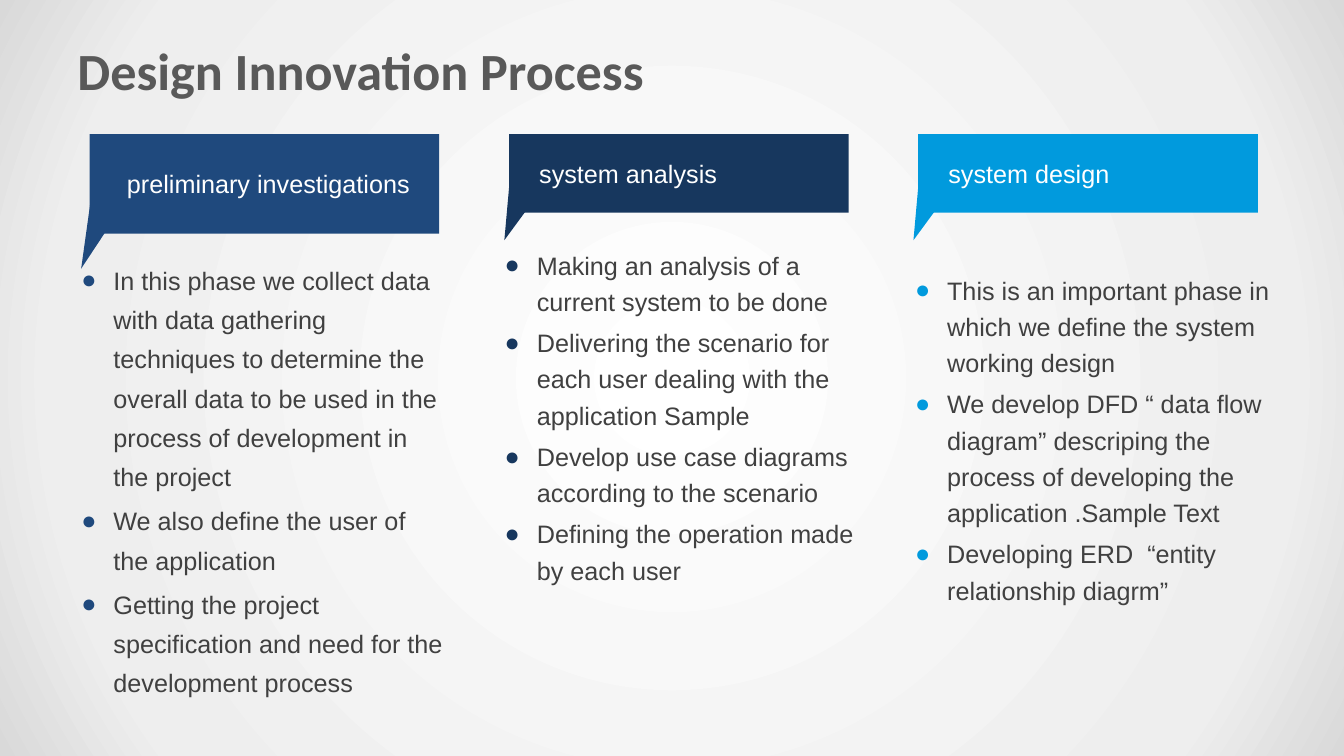
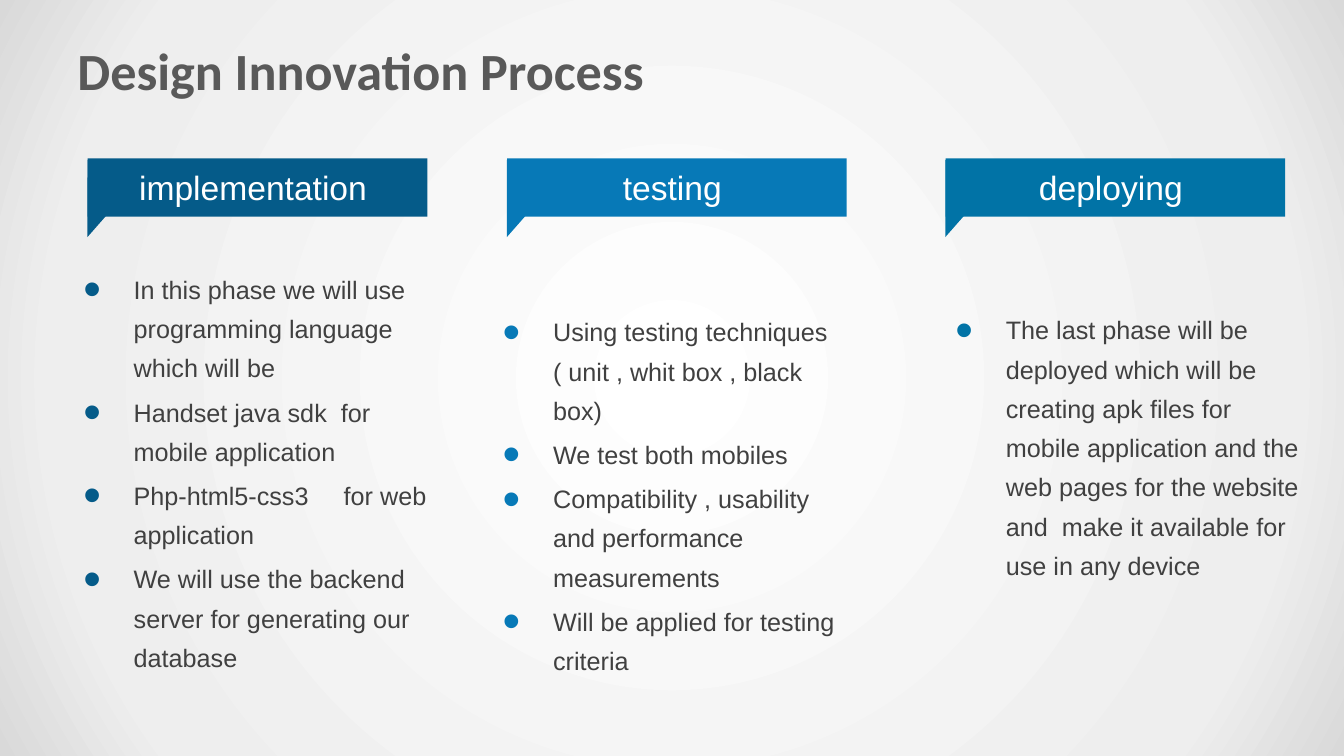
from dataclasses import dataclass

import lxml.etree
import pptx
import pptx.dml.color
import pptx.enum.shapes
import pptx.enum.text
import pptx.oxml.ns
import pptx.util

Cm = pptx.util.Cm
Pt = pptx.util.Pt
ALIGN = pptx.enum.text.PP_ALIGN
ANCHOR = pptx.enum.text.MSO_ANCHOR
SHAPE = pptx.enum.shapes.MSO_SHAPE


# Shared look
@dataclass(frozen=True)
class Theme:
    title_font: str = "Calibri"
    body_font: str = "Arial"
    title_color: str = "595959"
    body_color: str = "404040"
    banner_text_color: str = "FFFFFF"
    title_size: float = 37.3
    body_size: float = 18
    large_banner_size: float = 24
    background: tuple = ((0, "FFFFFF"), (81, "EEEEEE"), (100, "D9D9D9"))


@dataclass(frozen=True)
class Bullet:
    character: str
    percent: int
    indent: float


@dataclass(frozen=True)
class Column:
    heading: str
    color: str
    banner: tuple  # left, top, width, height in cm
    body: tuple
    items: tuple
    line_spacing: float = 1.3


THEME = Theme()
SMALL_BULLET = Bullet("●", 100, 0.81)
LARGE_BULLET = Bullet("•", 200, 1.27)
GAP_MARK = "|"  # stands for one widened space in a text
GAP_POINTS = 20


# Content
TITLE = "Design Innovation Process"
ANALYSIS_COLUMNS = (
    Column("preliminary investigations", "1F497D",
           (2.26, 3.38, 8.81, 2.51), (1.8, 6.32, 9.73, 11.53),
           ("In this phase we collect data with data gathering techniques to "
            "determine the overall data to be used in the process of "
            "development in the project",
            "We also define the user of the application",
            "Getting the project specification and need for the development "
            "process")),
    Column("system analysis", "17375E",
           (12.83, 3.38, 8.56, 1.98), (12.47, 6.02, 9.45, 9.12),
           ("Making an analysis of a current system to be done",
            "Delivering the scenario for each user dealing with the "
            "application Sample",
            "Develop use case diagrams according to the scenario",
            "Defining the operation made by each user"), 1.2),
    Column("system design", "019ADD",
           (23.14, 3.38, 8.56, 1.98), (22.81, 6.65, 9.45, 9.12),
           ("This is an important phase in which we define the system "
            "working design",
            "We develop DFD “ data flow diagram” descriping the process of "
            "developing the application .Sample Text",
            "Developing ERD  “entity relationship diagrm”"), 1.2),
)
DELIVERY_COLUMNS = (
    Column("implementation", "055B89",
           (2.21, 3.99, 8.56, 1.47), (1.85, 6.55, 9.45, 10.8),
           ("In this phase we will use programming language which will be",
            "Handset java sdk  for mobile application",
            "Php-html5-css3|for web application",
            "We will use the backend server for generating our database")),
    Column("testing", "0779B7",
           (12.78, 3.99, 8.56, 1.47), (12.42, 7.62, 9.45, 9.73),
           ("Using testing techniques ( unit , whit box , black box)",
            "We test both mobiles",
            "Compatibility , usability and performance measurements",
            "Will be applied for testing criteria")),
    Column("deploying", "0173A6",
           (23.83, 3.99, 8.56, 1.47), (23.83, 7.57, 9.45, 9.55),
           ("The last phase will be deployed which will be creating apk "
            "files for mobile application and the web pages for the website "
            "and  make it available for use in any device",)),
)


# Helpers
def rgb(color):
    return pptx.dml.color.RGBColor.from_string(color)


def add_element(parent, tag, **attributes):
    element = lxml.etree.SubElement(parent, pptx.oxml.ns.qn(tag))
    for name, value in attributes.items():
        element.set(name, str(value))
    return element


def set_bullet(paragraph, bullet, color):
    properties = paragraph._p.get_or_add_pPr()
    properties.set("marL", str(Cm(bullet.indent)))
    properties.set("indent", str(-Cm(bullet.indent)))
    add_element(add_element(properties, "a:buClr"), "a:srgbClr", val=color)
    add_element(properties, "a:buSzPct", val=bullet.percent * 1000)
    add_element(properties, "a:buFont", typeface=THEME.body_font)
    add_element(properties, "a:buChar", char=bullet.character)


def add_runs(paragraph, text):
    for index, part in enumerate(text.split(GAP_MARK)):
        if index:
            gap = paragraph.add_run()
            gap.text = " "
            gap._r.get_or_add_rPr().set("spc", str(GAP_POINTS * 100))
        paragraph.add_run().text = part


def write_text(shape, texts, *, size, color, font=THEME.body_font, bold=False,
               align=ALIGN.LEFT, anchor=ANCHOR.MIDDLE, insets=(0.25, 0.25),
               line_spacing=1.0, bullet=None, bullet_color=None):
    frame = shape.text_frame
    frame.word_wrap = True
    frame.auto_size = pptx.enum.text.MSO_AUTO_SIZE.NONE
    frame.vertical_anchor = anchor
    frame.margin_left, frame.margin_right = map(Cm, insets)
    frame.margin_top = frame.margin_bottom = Cm(0.13)
    for index, text in enumerate(texts):
        paragraph = frame.add_paragraph() if index else frame.paragraphs[0]
        if bullet:
            set_bullet(paragraph, bullet, bullet_color)
        add_runs(paragraph, text)
        paragraph.alignment = align
        paragraph.line_spacing = line_spacing
        paragraph.space_before = Pt(3.5 if index else 0)
        for run in paragraph.runs:
            run.font.name = font
            run.font.size = Pt(size)
            run.font.bold = bold
            run.font.color.rgb = rgb(color)


def add_block(shapes, kind, box, color):
    shape = shapes.add_shape(kind, *map(Cm, box))
    shape.shadow.inherit = False
    shape.fill.solid()
    shape.fill.fore_color.rgb = rgb(color)
    shape.line.fill.background()
    return shape


# Slide parts
def set_background(master):
    master.background.fill.solid()
    properties = master.element.find(".//" + pptx.oxml.ns.qn("p:bgPr"))
    properties.remove(properties[0])
    gradient = add_element(properties, "a:gradFill", rotWithShape=1)
    properties.insert(0, gradient)
    stops = add_element(gradient, "a:gsLst")
    for position, color in THEME.background:
        stop = add_element(stops, "a:gs", pos=position * 1000)
        add_element(stop, "a:srgbClr", val=color)
    circle = add_element(gradient, "a:path", path="circle")
    add_element(circle, "a:fillToRect", l=50000, t=50000, r=50000, b=50000)


def add_title(slide):
    title = slide.shapes.title
    title.left, title.top = Cm(1.7), Cm(0.76)
    title.width, title.height = Cm(30.48), Cm(1.98)
    write_text(title, [TITLE], size=THEME.title_size, bold=True,
               color=THEME.title_color, font=THEME.title_font)


def add_banner(slide, column, **text_format):
    left, top, width, height = column.banner
    group = slide.shapes.add_group_shape()
    tail_box = (left - 0.37, top + 0.15 * height, 0.16 * width, 1.24 * height)
    tail = add_block(group.shapes, SHAPE.ISOSCELES_TRIANGLE, tail_box,
                     column.color)
    tail.rotation = 200.7
    banner = add_block(group.shapes, SHAPE.RECTANGLE, column.banner,
                       column.color)
    write_text(banner, [column.heading], color=THEME.banner_text_color,
               **text_format)


def add_column(slide, column, bullet, **banner_format):
    body = slide.shapes.add_textbox(*map(Cm, column.body))
    write_text(body, column.items, size=THEME.body_size,
               color=THEME.body_color, anchor=ANCHOR.TOP,
               line_spacing=column.line_spacing, bullet=bullet,
               bullet_color=column.color)
    add_banner(slide, column, **banner_format)


def add_process_slide(presentation, columns, bullet, **banner_format):
    slide = presentation.slides.add_slide(presentation.slide_layouts[5])
    add_title(slide)
    for column in columns:
        add_column(slide, column, bullet, **banner_format)
    return slide


def main():
    presentation = pptx.Presentation()
    presentation.slide_width = Cm(33.87)
    presentation.slide_height = Cm(19.05)
    set_background(presentation.slide_master)

    # Investigation, analysis and design
    slide = add_process_slide(presentation, ANALYSIS_COLUMNS, SMALL_BULLET,
                              size=THEME.body_size, insets=(0.76, 0.25))
    first_banner = slide.shapes[2].shapes[1]
    first_banner.text_frame.margin_left = Cm(0.94)

    # Implementation, testing and deployment
    add_process_slide(presentation, DELIVERY_COLUMNS, LARGE_BULLET,
                      size=THEME.large_banner_size, align=ALIGN.CENTER,
                      insets=(0.25, 0.48))

    presentation.save("out.pptx")


if __name__ == "__main__":
    main()
